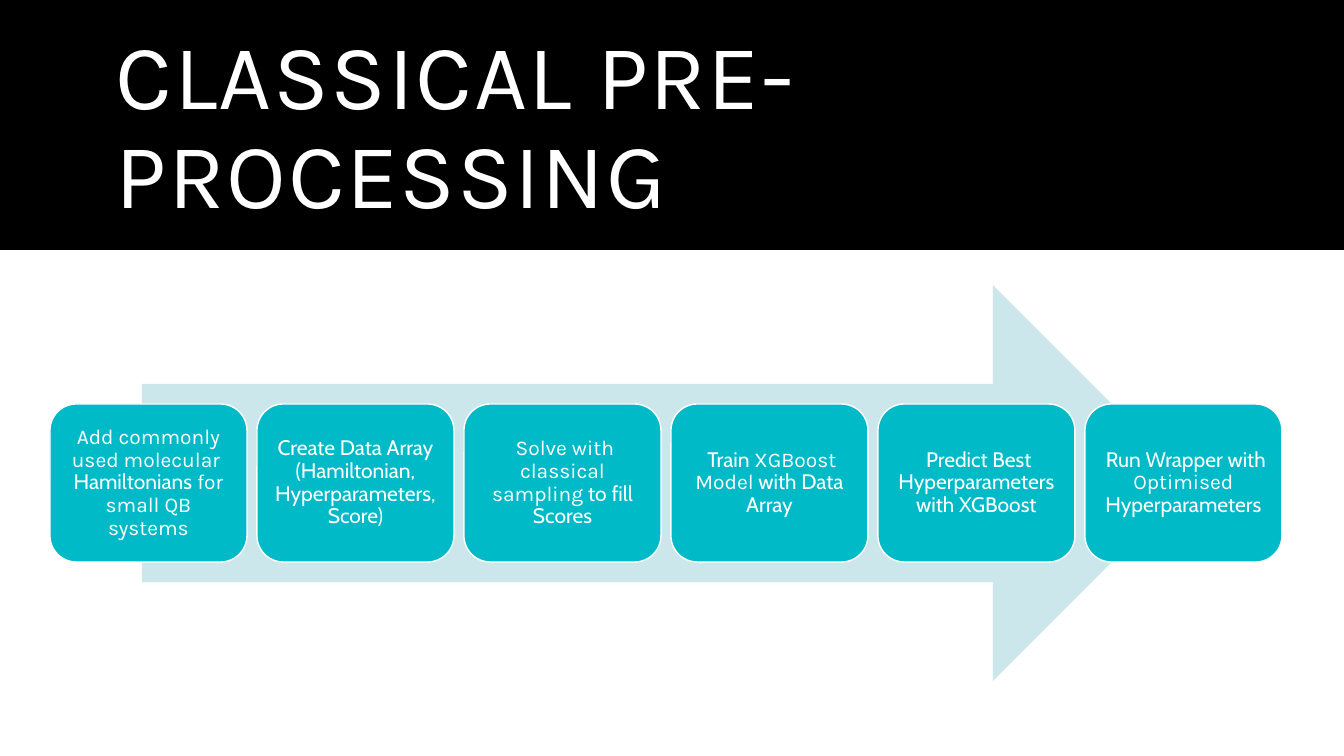
"""Build the classical pre-processing slide: a title band and six steps on an arrow."""
from pptx import Presentation
from pptx import util as u
from pptx.dml.color import RGBColor
from pptx.enum import shapes, text

PX = 914400 / 100.8
COLORS = {"band": "000000", "arrow": "CCE7EB", "step": "00BAC7", "white": "FFFFFF"}
KARLA, CABIN = "Karla", "Cabin"
STEPS = [
    [("Add commonly used molecular \n", KARLA), ("Hamiltonians", CABIN),
     (" for small QB systems", KARLA)],
    [("Create Data Array (Hamiltonian, Hyperparameters, Score)", CABIN)],
    [(" ", CABIN), ("Solve with classical sampling ", KARLA), ("to fill Scores", CABIN)],
    [(" Train ", CABIN), ("XGBoost Model", KARLA), (" with Data Array", CABIN)],
    [(" Predict Best Hyperparameters with XGBoost", CABIN)],
    [(" Run Wrapper with ", CABIN), ("Optimised", KARLA), (" Hyperparameters", CABIN)],
]


def px(*lengths):
    return [u.Emu(round(length * PX)) for length in lengths]


def write(box, parts, size, align, inset_x, inset_y, spacing=0):
    frame = box.text_frame
    frame.word_wrap = True
    frame.vertical_anchor = text.MSO_ANCHOR.MIDDLE
    frame.margin_left = frame.margin_right = px(inset_x)[0]
    frame.margin_top = frame.margin_bottom = px(inset_y)[0]
    para = frame.paragraphs[0]
    para.alignment = align
    para.line_spacing = 0.9
    for words, font in parts:
        span = para.add_run()
        span.text = words.rstrip("\n")
        span.font.name = font
        span.font.size = u.Pt(size)
        span.font.color.rgb = RGBColor.from_string(COLORS["white"])
        if spacing:
            span.font._element.set("spc", str(spacing))
        if words.endswith("\n"):
            para.add_line_break()


deck = Presentation()
deck.slide_width, deck.slide_height = px(1344, 756)
page = deck.slides.add_slide(deck.slide_layouts[6])

kinds = shapes.MSO_SHAPE
outlines = [
    (kinds.RECTANGLE, "band", (0, 0, 1344, 250)),
    (kinds.RIGHT_ARROW, "arrow", (142, 285, 1049, 396)),
]
outlines += [(kinds.ROUNDED_RECTANGLE, "step", (50 + 207 * i, 404, 197, 158))
             for i in range(len(STEPS))]

step_boxes = []
for kind, role, place in outlines:
    shape = page.shapes.add_shape(kind, *px(*place))
    shape.shadow.inherit = False
    shape.fill.solid()
    shape.fill.fore_color.rgb = RGBColor.from_string(COLORS[role])
    if role == "step":
        shape.line.color.rgb = RGBColor.from_string(COLORS["white"])
        shape.line.width = u.Pt(1)
        step_boxes.append(shape)
    else:
        shape.line.fill.background()

title = page.shapes.add_textbox(*px(106, 35, 1132, 188))
write(title, [("CLASSICAL PRE-PROCESSING", KARLA)], 66, text.PP_ALIGN.LEFT, 10, 5, spacing=120)

for box, parts in zip(step_boxes, STEPS):
    write(box, parts, 15, text.PP_ALIGN.CENTER, 6, 6)

deck.save("out.pptx")
